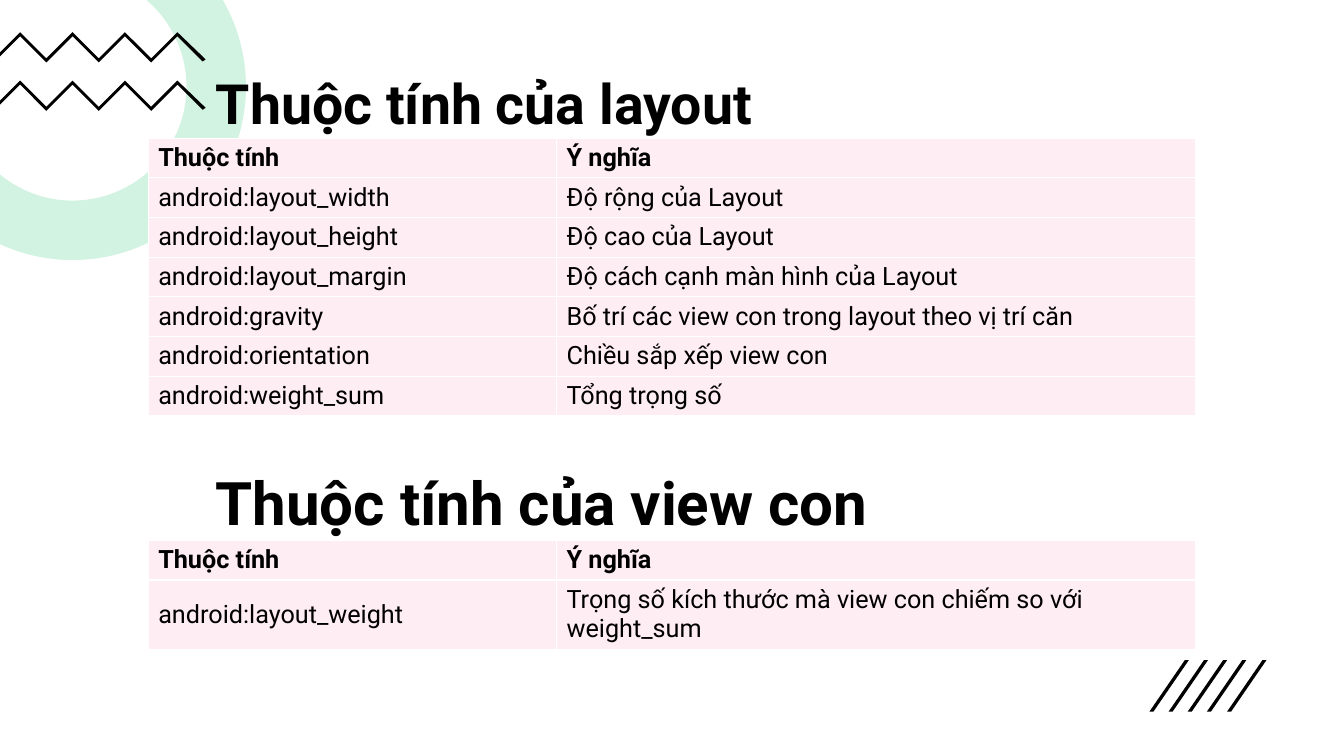
from math import acos, asin, cos, pi, sin

from lxml import etree
from pptx import Presentation
from pptx.dml.color import RGBColor
from pptx.enum.text import MSO_ANCHOR, MSO_AUTO_SIZE, PP_ALIGN
from pptx.oxml.ns import qn
from pptx.util import Pt

PX = 9144
LEFT = PP_ALIGN.LEFT
MIDDLE = MSO_ANCHOR.MIDDLE
BOTTOM = MSO_ANCHOR.BOTTOM
NO_FIT = MSO_AUTO_SIZE.NONE
FONT, BLACK, WHITE, PINK, GREEN = "Roboto", "000000", "FFFFFF", "FFEDF4", "21C46B"
STEP = pi / 90
HEAD = ("Thuộc tính", "Ý nghĩa")
LAYOUT = [
    HEAD,
    ("android:layout_width", "Độ rộng của Layout"),
    ("android:layout_height", "Độ cao của Layout"),
    ("android:layout_margin", "Độ cách cạnh màn hình của Layout"),
    ("android:gravity", "Bố trí các view con trong layout theo vị trí căn"),
    ("android:orientation", "Chiều sắp xếp view con"),
    ("android:weight_sum", "Tổng trọng số"),
]
CHILD = [
    HEAD,
    ("android:layout_weight", "Trọng số kích thước mà view con chiếm so với weight_sum"),
]


def px(n):
    return round(n * PX)


def color(code):
    return RGBColor.from_string(code)


def arc(x, y, r, start, end):
    steps = round(abs(end - start) / STEP)
    turns = [start + (end - start) * i / steps for i in range(steps + 1)]
    return [(x + r * cos(t), y + r * sin(t)) for t in turns]


class Deck:
    """Holds the style and the current slide, and draws each kind of element."""

    def __init__(self, wide, high):
        self.file = Presentation()
        self.file.slide_width, self.file.slide_height = px(wide), px(high)
        self.slide = self.file.slides.add_slide(self.file.slide_layouts[5])
        self.shapes = self.slide.shapes
        self.slide.background.fill.solid()
        self.slide.background.fill.fore_color.rgb = color(WHITE)

    def say(self, para, text, size, bold):
        para.alignment = LEFT
        run = para.add_run()
        run.text = text
        run.font.name, run.font.size, run.font.bold = FONT, Pt(size), bold
        run.font.color.rgb = color(BLACK)

    def place(self, shape, box, text, size, space):
        shape.left, shape.top, shape.width, shape.height = map(px, box)
        frame = shape.text_frame
        frame.word_wrap, frame.auto_size = True, NO_FIT
        frame.vertical_anchor = BOTTOM
        para = frame.paragraphs[0]
        para.line_spacing = space
        self.say(para, text, size, True)

    def title(self, *style):
        shape = self.shapes.title
        shape.element.getparent().append(shape.element)
        self.place(shape, *style)

    def label(self, box, *style):
        self.place(self.shapes.add_textbox(*map(px, box)), box, *style)

    def outline(self, points, fill, alpha=100, home=None):
        spots = [(px(x), px(y)) for x, y in points]
        pen = (home or self.shapes).build_freeform(*spots[0])
        pen.add_line_segments(spots[1:], close=True)
        shape = pen.convert_to_shape()
        shape.shadow.inherit = False
        shape.line.fill.background()
        shape.fill.solid()
        shape.fill.fore_color.rgb = color(fill)
        if alpha < 100:
            tint = next(shape.element.spPr.iter(qn("a:srgbClr")))
            etree.SubElement(tint, qn("a:alpha"), val=str(alpha * 1000))

    def border(self, cell):
        props = cell._tc.get_or_add_tcPr()
        for side in ("lnL", "lnR", "lnT", "lnB"):
            line = etree.SubElement(props, qn("a:" + side), w=str(Pt(1)))
            fill = etree.SubElement(line, qn("a:solidFill"))
            etree.SubElement(fill, qn("a:srgbClr"), val=WHITE)

    def table(self, left, top, widths, high, rows):
        box = (left, top, sum(widths), high * len(rows))
        grid = self.shapes.add_table(len(rows), len(widths), *map(px, box)).table
        grid.first_row = grid.horz_banding = False
        for col, width in zip(grid.columns, widths):
            col.width = px(width)
        for r, row in enumerate(rows):
            for c, text in enumerate(row):
                cell = grid.cell(r, c)
                self.border(cell)
                cell.fill.solid()
                cell.fill.fore_color.rgb = color(PINK)
                cell.vertical_anchor = MIDDLE
                self.say(cell.text_frame.paragraphs[0], text, 18, r == 0)

    def ring(self, x, y, outer, inner):
        rim = arc(x, y, outer, asin(-y / outer), acos(-x / outer))
        hole = arc(x, y, inner, acos(-x / inner), asin(-y / inner))
        self.outline(rim + hole, GREEN, 20)

    def zigzag(self, top):
        peaks = [(20 + 26 * i, top + 26 * (i % 2)) for i in range(7)]
        under = [(x, y + 4) for x, y in reversed(peaks)]
        tip = [(204, top + 27), (201, top + 29)]
        self.outline(peaks + tip + under + [(0, top + 24), (0, top + 20)], BLACK)

    def strokes(self, left, top, low, count):
        home = self.shapes.add_group_shape().shapes
        for i in range(count):
            x = left + 77 * i // 4
            points = [(x + 4, low), (x, low), (x + 35, top), (x + 39, top)]
            self.outline(points, BLACK, home=home)


def main():
    deck = Deck(1333, 750)
    deck.ring(72, 86, 172, 113)
    for top in (32, 80):
        deck.zigzag(top)
    deck.title((204, 69, 855, 71), "Thuộc tính của layout", 39.6, 0.9)
    deck.strokes(1140, 655, 706, 5)
    widths = (405, 634)
    deck.table(147, 137, widths, 39, LAYOUT)
    deck.label((204, 467, 855, 71), "Thuộc tính của view con", 42.9, 0.8)
    deck.table(147, 536, widths, 39, CHILD)
    deck.file.save("out.pptx")


if __name__ == "__main__":
    main()
